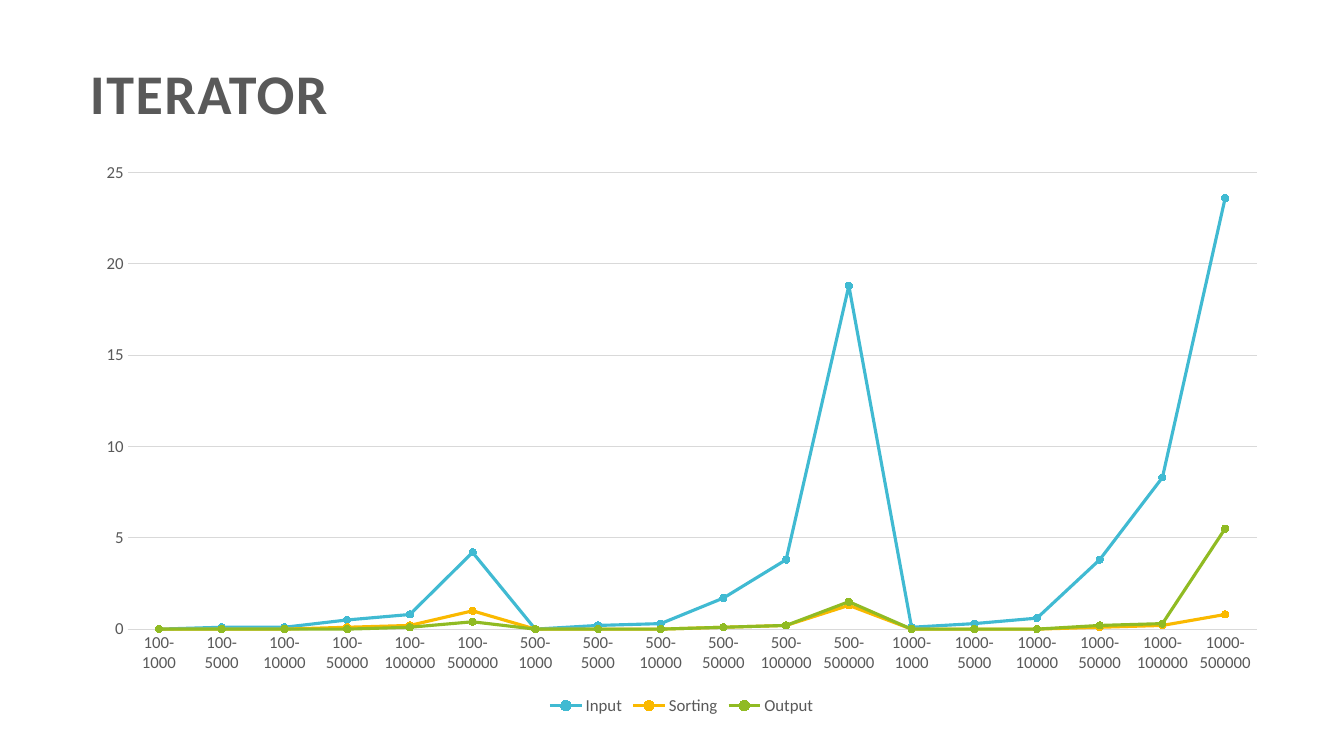
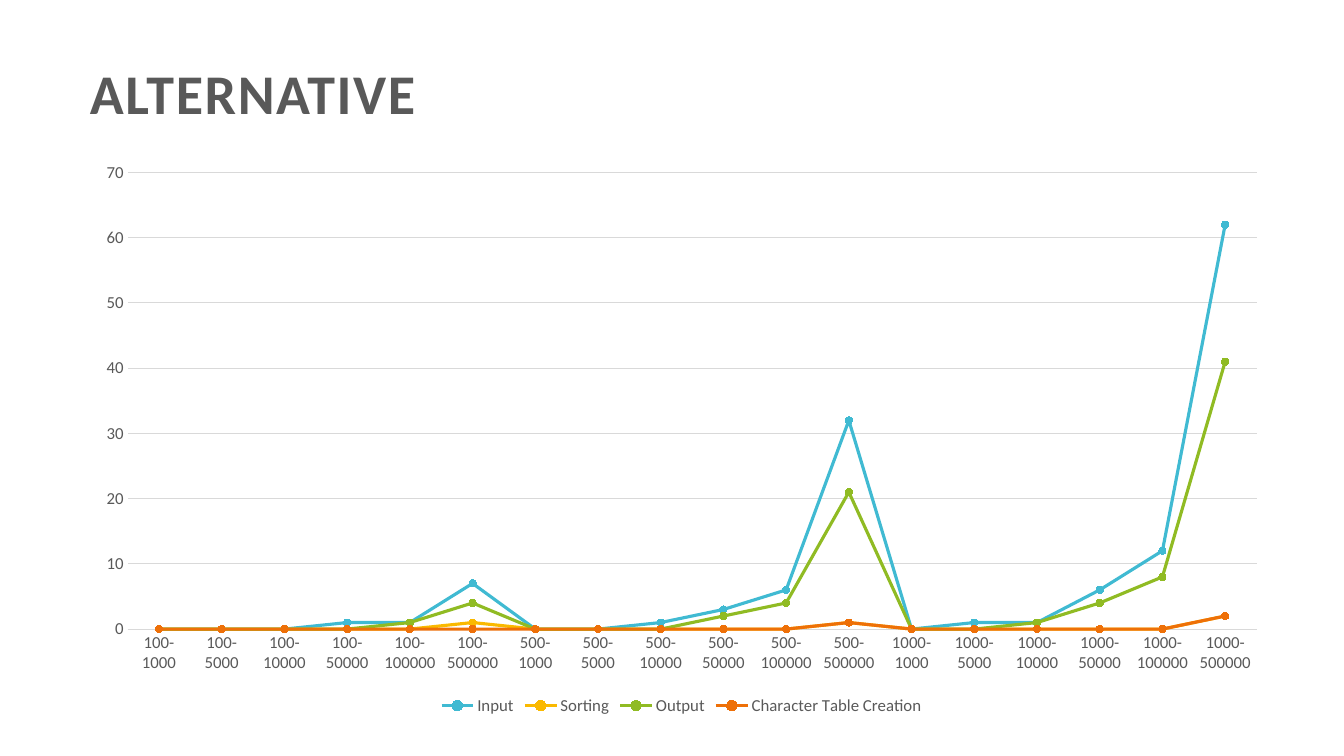
"""Build two slides with line charts of run times for two sorting programs."""
from itertools import product

from pptx import Presentation
from pptx.chart.data import CategoryChartData
from pptx.dml.color import RGBColor
from pptx.enum.chart import XL_CHART_TYPE, XL_LEGEND_POSITION, XL_MARKER_STYLE, XL_TICK_MARK
from pptx.enum.text import MSO_ANCHOR, PP_ALIGN
from pptx.util import Inches, Pt

FONT = "Calibri"
GREY = RGBColor(0x59, 0x59, 0x59)
PALE = RGBColor(0xD9, 0xD9, 0xD9)
SERIES_COLORS = (
    RGBColor(0x40, 0xBA, 0xD2),
    RGBColor(0xFA, 0xB9, 0x00),
    RGBColor(0x90, 0xBB, 0x23),
    RGBColor(0xEE, 0x70, 0x08),
)

LENGTHS = (100, 500, 1000)
COUNTS = (1000, 5000, 10000, 50000, 100000, 500000)
CATEGORIES = [f"{length}-{count}" for length, count in product(LENGTHS, COUNTS)]

SLIDES = [
    {
        "title": "ITERATOR",
        "title_width": 3.44,
        "top_value": 25,
        "step": 5,
        "series": {
            "Input": (0, 0.1, 0.1, 0.5, 0.8, 4.2, 0, 0.2, 0.3, 1.7, 3.8, 18.8,
                      0.1, 0.3, 0.6, 3.8, 8.3, 23.6),
            "Sorting": (0, 0, 0, 0.1, 0.2, 1, 0, 0, 0, 0.1, 0.2, 1.3,
                        0, 0, 0, 0.1, 0.2, 0.8),
            "Output": (0, 0, 0, 0, 0.1, 0.4, 0, 0, 0, 0.1, 0.2, 1.5,
                       0, 0, 0, 0.2, 0.3, 5.5),
        },
    },
    {
        "title": "ALTERNATIVE",
        "title_width": 4.52,
        "top_value": 70,
        "step": 10,
        "series": {
            "Input": (0, 0, 0, 1, 1, 7, 0, 0, 1, 3, 6, 32, 0, 1, 1, 6, 12, 62),
            "Sorting": (0, 0, 0, 0, 0, 1, 0, 0, 0, 0, 0, 1, 0, 0, 0, 0, 0, 2),
            "Output": (0, 0, 0, 0, 1, 4, 0, 0, 0, 2, 4, 21, 0, 0, 1, 4, 8, 41),
            "Character Table Creation": (0, 0, 0, 0, 0, 0, 0, 0, 0, 0, 0, 1,
                                         0, 0, 0, 0, 0, 2),
        },
    },
]


def set_font(font, size, bold=False):
    """Apply the shared typeface and text colour."""
    font.name = FONT
    font.size = Pt(size)
    font.bold = bold
    font.color.rgb = GREY


def set_line(line, color, width):
    """Give a line its colour and width in points."""
    line.color.rgb = color
    line.width = Pt(width)


def place_title(page, text, width):
    """Move and format the title placeholder."""
    title = page.shapes.title
    title.left, title.top = Inches(0.79), Inches(0.53)
    title.width, title.height = Inches(width), Inches(0.77)
    frame = title.text_frame
    frame.word_wrap = False
    frame.vertical_anchor = MSO_ANCHOR.TOP
    para = frame.paragraphs[0]
    para.alignment = PP_ALIGN.LEFT
    set_font(para.font, 40, bold=True)
    span = para.add_run()
    span.text = text
    span._r.get_or_add_rPr().set("spc", "120")


def add_line_chart(page, content):
    """Add the chart with its axes, legend and coloured series."""
    data = CategoryChartData()
    data.categories = CATEGORIES
    for name, values in content["series"].items():
        data.add_series(name, values)
    chart = page.shapes.add_chart(
        XL_CHART_TYPE.LINE_MARKERS,
        Inches(0.82), Inches(1.5), Inches(11.88), Inches(5.64), data,
    ).chart
    chart.has_title = False
    set_font(chart.font, 12)

    chart.has_legend = True
    chart.legend.position = XL_LEGEND_POSITION.BOTTOM
    chart.legend.include_in_layout = False
    set_font(chart.legend.font, 12)

    for axis in (chart.category_axis, chart.value_axis):
        axis.major_tick_mark = axis.minor_tick_mark = XL_TICK_MARK.NONE
        set_font(axis.tick_labels.font, 12)
    set_line(chart.category_axis.format.line, PALE, 0.75)
    value_axis = chart.value_axis
    value_axis.minimum_scale = 0
    value_axis.maximum_scale = content["top_value"]
    value_axis.major_unit = content["step"]
    value_axis.format.line.fill.background()
    set_line(value_axis.major_gridlines.format.line, PALE, 0.75)

    plot = chart.plots[0]
    plot.vary_by_categories = False
    for series, color in zip(plot.series, SERIES_COLORS):
        series.smooth = False
        set_line(series.format.line, color, 2.25)
        marker = series.marker
        marker.style = XL_MARKER_STYLE.CIRCLE
        marker.size = 5
        marker.format.fill.solid()
        marker.format.fill.fore_color.rgb = color
        set_line(marker.format.line, color, 0.75)


def main():
    """Build and save the deck."""
    deck = Presentation()
    deck.slide_width, deck.slide_height = Inches(13.33), Inches(7.5)
    for content in SLIDES:
        page = deck.slides.add_slide(deck.slide_layouts[5])
        place_title(page, content["title"], content["title_width"])
        add_line_chart(page, content)
    deck.save("out.pptx")


if __name__ == "__main__":
    main()
